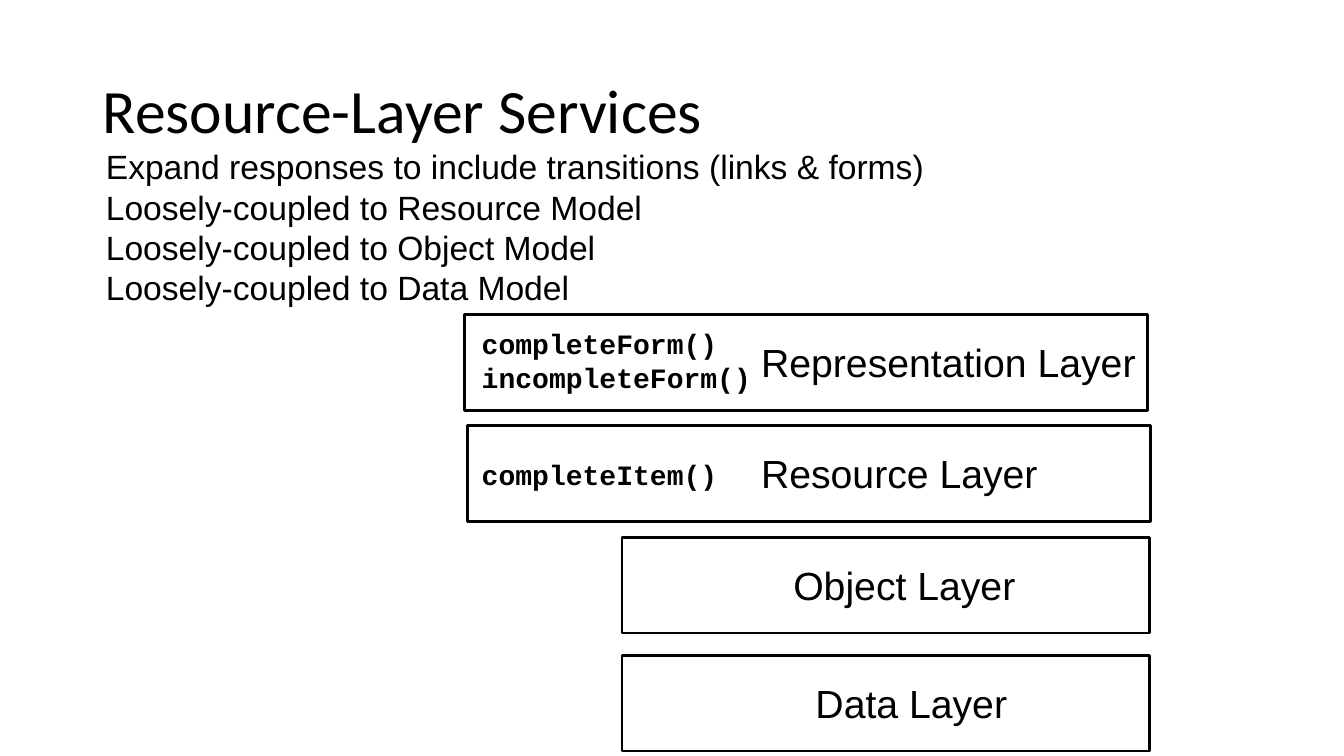
"""Build the Resource-Layer Services slide."""
import pptx
import pptx.dml.color
import pptx.enum.shapes
import pptx.enum.text
import pptx.util

Inches = pptx.util.Inches
Pt = pptx.util.Pt
COLORS = {"ink": "000000", "paper": "FFFFFF"}


def rgb(name):
    """Return a named colour."""
    return pptx.dml.color.RGBColor.from_string(COLORS[name])


def write(p, text, size=28, font="Arial", bold=False, spacing=1.0):
    """Write one formatted run into a left-aligned paragraph."""
    p.alignment = pptx.enum.text.PP_ALIGN.LEFT
    p.line_spacing = spacing
    p.space_before = Pt(0)
    r = p.add_run()
    r.text = text
    r.font.size = Pt(size)
    r.font.name = font
    r.font.bold = bold
    r.font.color.rgb = rgb("ink")


class Deck:
    """Hold the style and the current slide."""

    def __init__(self, prs):
        """Add a slide with a title and a body."""
        self.s = prs.slides.add_slide(prs.slide_layouts[1])
        self.line_width = Pt(2)

    def place(self, sp, left, top, width, height, anchor):
        """Move a placeholder and return its text frame."""
        sp.left, sp.top = Inches(left), Inches(top)
        sp.width, sp.height = Inches(width), Inches(height)
        tf = sp.text_frame
        tf.word_wrap = True
        tf.auto_size = pptx.enum.text.MSO_AUTO_SIZE.NONE
        tf.vertical_anchor = anchor
        return tf

    def title(self, text, *at):
        """Fill the title placeholder."""
        tf = self.place(self.s.shapes.title, *at, pptx.enum.text.MSO_ANCHOR.MIDDLE)
        write(tf.paragraphs[0], text, size=44, font="Calibri", spacing=0.9)

    def body(self, lines, *at):
        """Fill the body placeholder with unbulleted lines."""
        tf = self.place(self.s.placeholders[1], *at, pptx.enum.text.MSO_ANCHOR.TOP)
        for i, line in enumerate(lines):
            p = tf.add_paragraph() if i else tf.paragraphs[0]
            write(p, line, size=24)
            pPr = p._p.get_or_add_pPr()
            pPr.set("marL", "0")
            pPr.set("indent", "0")
            pPr.append(pptx.oxml.parse_xml(
                '<a:buNone xmlns:a="http://schemas.openxmlformats.org/drawingml/2006/main"/>'))

    def box(self, left, top, width, height):
        """Add an outlined rectangle."""
        sp = self.s.shapes.add_shape(
            pptx.enum.shapes.MSO_SHAPE.RECTANGLE,
            Inches(left), Inches(top), Inches(width), Inches(height))
        sp.shadow.inherit = False
        sp.fill.solid()
        sp.fill.fore_color.rgb = rgb("paper")
        sp.line.color.rgb = rgb("ink")
        sp.line.width = self.line_width

    def label(self, text, left, top, width, height, **fmt):
        """Add a text box."""
        sp = self.s.shapes.add_textbox(
            Inches(left), Inches(top), Inches(width), Inches(height))
        tf = sp.text_frame
        tf.word_wrap = True
        write(tf.paragraphs[0], text, **fmt)


def main():
    """Build and save the slide."""
    prs = pptx.Presentation()
    prs.slide_width, prs.slide_height = Inches(13.33), Inches(7.5)
    deck = Deck(prs)
    deck.title("Resource-Layer Services", 0.92, 0.4, 11.5, 1.45)
    deck.body(["Expand responses to include transitions (links & forms)"]
              + [f"Loosely-coupled to {model} Model" for model in ("Resource", "Object", "Data")],
              0.95, 1.4, 12.15, 1.72)

    layers = [
        ("Representation", 4.61, 3.12, 6.77, 7.45, 3.95),
        ("Resource", 4.64, 4.22, 6.77, 7.45, 2.97),
        ("Object", 6.17, 5.33, 5.23, 7.77, 2.97),
        ("Data", 6.17, 6.5, 5.23, 7.99, 2.3),
    ]
    for name, left, top, width, text_left, text_width in layers:
        deck.box(left, top, width, 0.95)
        deck.label(f"{name} Layer", text_left, top + 0.19, text_width, 0.57)

    methods = [("completeForm()", 3.19), ("incompleteForm()", 3.53), ("completeItem()", 4.49)]
    for name, top in methods:
        deck.label(name, 4.68, top, 2.97, 0.44, size=20, font="Courier New", bold=True)
    prs.save("out.pptx")


main()
